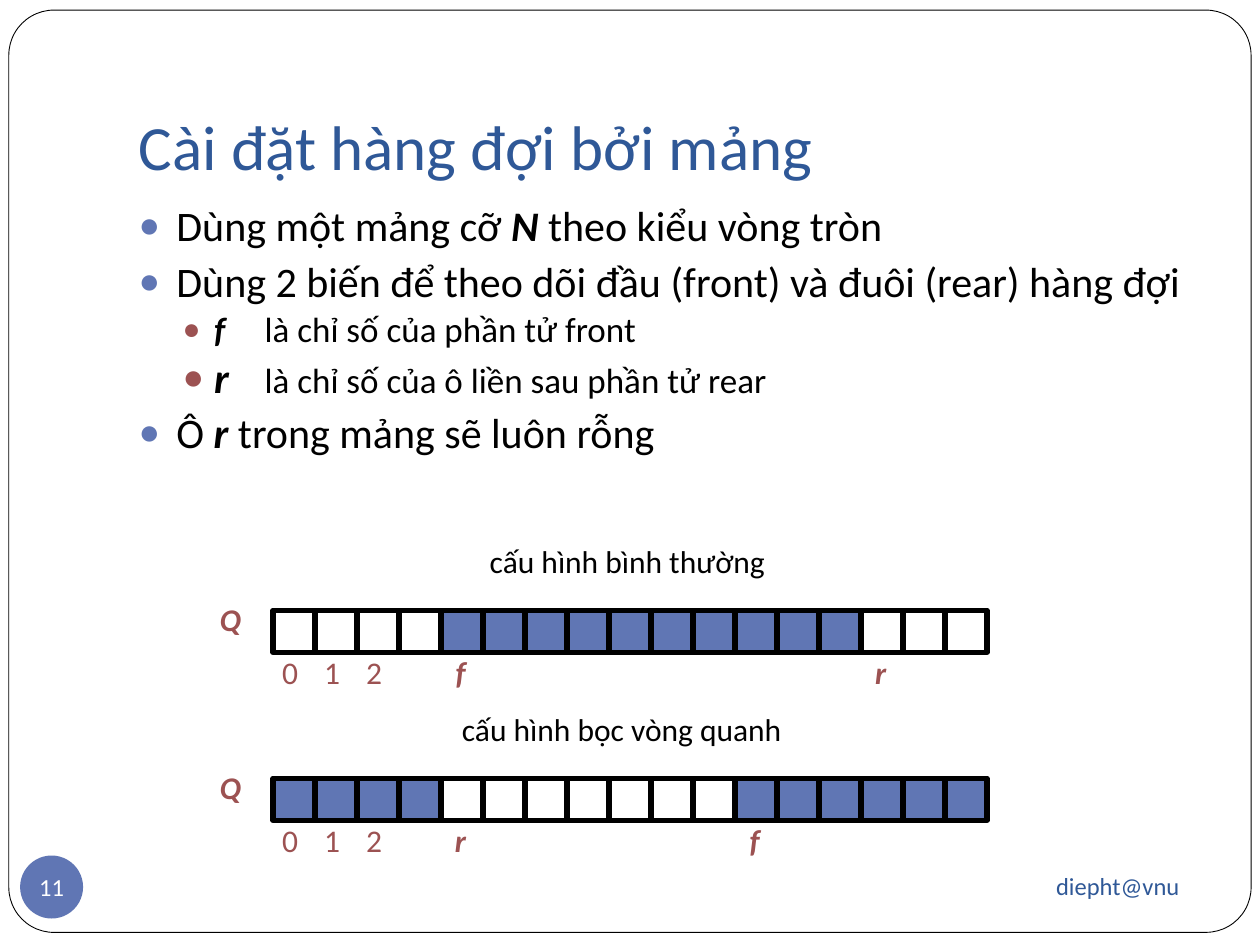
from lxml.etree import SubElement
from pptx import Presentation
from pptx.dml.color import RGBColor
from pptx.enum.shapes import MSO_SHAPE as Preset
from pptx.enum.text import MSO_ANCHOR as Anchor, MSO_AUTO_SIZE as AutoSize, PP_ALIGN as Align
from pptx.oxml.ns import qn
from pptx.util import Inches, Pt

# The slide is a grid of square cells, each as large as one slot of the queue array.
COLUMNS, ROWS = 30, 22.5
CELL = Inches(10) / COLUMNS
SLOTS = 17
FONT = "Calibri"

BLACK = RGBColor(0x00, 0x00, 0x00)
WHITE = RGBColor(0xFF, 0xFF, 0xFF)
NAVY = RGBColor(0x2F, 0x58, 0x97)
BLUE = RGBColor(0x60, 0x76, 0xB4)
RED = RGBColor(0x9C, 0x52, 0x52)

# Level of each bullet, then its runs: text, size, emphasis
BULLETS = [
    (0, [("Dùng một mảng cỡ ", 24, False), ("N", 24, True), (" theo kiểu vòng tròn", 24, False)]),
    (0, [("Dùng 2 biến để theo dõi đầu (front) và đuôi (rear) hàng đợi", 24, False)]),
    (1, [("f \t", 20, True), ("là chỉ số của phần tử front", 20, False)]),
    (1, [("r", 24, True), ("\tlà chỉ số của ô liền sau phần tử rear", 20, False)]),
    (0, [("Ô ", 24, False), ("r", 24, True), (" trong mảng sẽ luôn rỗng", 24, False)]),
]
# Indent, hanging and space before, and bullet colour, for each level
LEVELS = [(0.3, 0.3, 5.8, BLUE), (0.6, 0.25, 3.7, RED)]


def cells(*lengths):
    """Turn lengths in grid cells into EMU."""
    return [round(length * CELL) for length in lengths]


def style(run, size, color, emphasis=False):
    font = run.font
    font.name, font.size, font.color.rgb = FONT, Pt(size), color
    font.bold = font.italic = emphasis


def set_margins(frame, side, top, bottom):
    frame.margin_left = frame.margin_right = Inches(side)
    frame.margin_top, frame.margin_bottom = Inches(top), Inches(bottom)


def write(shape, text, size, color, align=Align.LEFT, emphasis=False, wrap=True):
    """Put one formatted line of text in a shape."""
    frame = shape.text_frame
    frame.word_wrap = wrap
    frame.text = text
    paragraph = frame.paragraphs[0]
    paragraph.alignment = align
    style(paragraph.runs[0], size, color, emphasis)
    return frame


def add_filled(shapes, preset, box, fill, line_width=0):
    shape = shapes.add_shape(preset, *cells(*box))
    shape.shadow.inherit = False
    shape.fill.solid()
    shape.fill.fore_color.rgb = fill
    if line_width:
        shape.line.color.rgb = BLACK
        shape.line.width = Pt(line_width)
    else:
        shape.line.fill.background()
    return shape


def add_label(shapes, box, text, align=Align.CENTER, emphasis=True):
    label = shapes.add_textbox(*cells(*box))
    frame = write(label, text, 18, RED, align, emphasis, wrap=emphasis)
    set_margins(frame, 0, 0, 0)
    frame.auto_size = AutoSize.SHAPE_TO_FIT_TEXT


def place(shape, box):
    shape.left, shape.top, shape.width, shape.height = cells(*box)


def add_frame(slide, box):
    """Draw the rounded page border behind everything else."""
    border = add_filled(slide.shapes, Preset.ROUNDED_RECTANGLE, box, WHITE, 0.5)
    border.adjustments[0] = 0.049
    tree = border._element.getparent()
    tree.insert(2, border._element)


def fill_title(title, box):
    place(title, box)
    frame = write(title, "Cài đặt hàng đợi bởi mảng", 36, NAVY)
    set_margins(frame, 0.1, 0.05, 0.1)
    frame.vertical_anchor = Anchor.BOTTOM
    frame.auto_size = AutoSize.NONE


def format_bullet(paragraph, level):
    indent, hanging, space, color = LEVELS[level]
    paragraph.level = level
    paragraph.alignment = Align.LEFT
    paragraph.line_spacing = 0.9
    paragraph.space_before = Pt(space)
    properties = paragraph._p.get_or_add_pPr()
    properties.set("marL", str(Inches(indent)))
    properties.set("indent", str(-Inches(hanging)))
    bullet_color = SubElement(properties, qn("a:buClr"))
    SubElement(bullet_color, qn("a:srgbClr"), val=str(color))
    SubElement(properties, qn("a:buSzPct"), val="85000")
    SubElement(properties, qn("a:buChar"), char="●")
    tabs = SubElement(properties, qn("a:tabLst"))
    SubElement(tabs, qn("a:tab"), pos=str(Inches(1)), algn="l")


def fill_body(body, box):
    place(body, box)
    frame = body.text_frame
    set_margins(frame, 0.1, 0.05, 0.05)
    frame.auto_size = AutoSize.NONE
    for index, (level, runs) in enumerate(BULLETS):
        paragraph = frame.add_paragraph() if index else frame.paragraphs[0]
        format_bullet(paragraph, level)
        for text, size, emphasis in runs:
            run = paragraph.add_run()
            run.text = text
            style(run, size, BLACK, emphasis)


def add_queue(slide, left, top, front, rear, caption, caption_left, caption_width):
    """Draw the circular array, filled from front up to the slot before rear."""
    shapes = slide.shapes.add_group_shape().shapes
    add_label(shapes, (left - 1.5, top - 0.24, 0.96, 0.9), "Q")
    for index in range(3):
        add_label(shapes, (left + index + 0.22, top + 1.02, 0.42, 0.9),
                  str(index), Align.LEFT, emphasis=False)
    for name, slot in (("f", front), ("r", rear)):
        add_label(shapes, (left + slot, top + 1.02, 0.93, 0.9), name)
    size = (rear - front) % SLOTS
    for slot in range(SLOTS):
        used = (slot - front) % SLOTS < size
        add_filled(shapes, Preset.RECTANGLE, (left + slot, top, 1, 1), BLUE if used else WHITE, 3)

    caption_box = slide.shapes.add_textbox(
        *cells(left + caption_left, top - 1.78, caption_width, 1.2))
    frame = write(caption_box, caption, 18, BLACK, Align.CENTER, wrap=False)
    frame.auto_size = AutoSize.SHAPE_TO_FIT_TEXT


def add_footer(slide, credit_box, number_box):
    credit = slide.shapes.add_textbox(*cells(*credit_box))
    frame = write(credit, "diepht@vnu", 14, NAVY, Align.RIGHT)
    frame.vertical_anchor = Anchor.MIDDLE

    number = add_filled(slide.shapes, Preset.OVAL, number_box, BLUE)
    frame = write(number, "11", 14, WHITE, Align.CENTER, wrap=False)
    set_margins(frame, 0, 0, 0)
    frame.vertical_anchor = Anchor.MIDDLE


def main():
    presentation = Presentation()
    presentation.slide_width, presentation.slide_height = cells(COLUMNS, ROWS)
    slide = presentation.slides.add_slide(presentation.slide_layouts[1])
    add_frame(slide, (0.21, 0.24, 29.58, 21.96))
    fill_title(slide.shapes.title, (3, 0.9, 25.5, 3.75))
    fill_body(slide.placeholders[1], (3, 4.74, 25.5, 15))
    add_queue(slide, 6.5, 14.53, 4, 14, "cấu hình bình thường", 4.33, 8.22)
    add_queue(slide, 6.5, 18.53, 11, 4, "cấu hình bọc vòng quanh", 3.55, 9.51)
    add_footer(slide, (20.25, 20.31, 8.13, 1.56), (0.48, 20.37, 1.5, 1.5))
    presentation.save("out.pptx")


if __name__ == "__main__":
    main()
